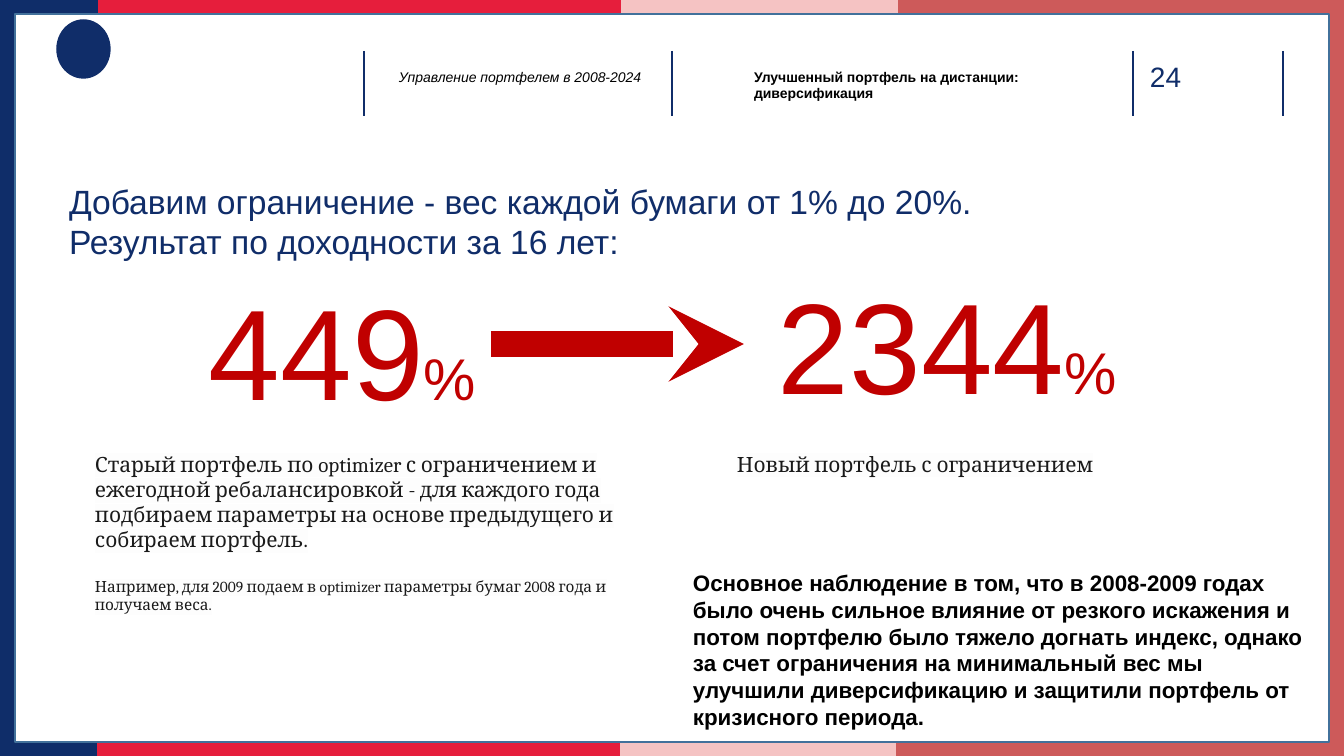
from lxml import etree
from pptx import Presentation
from pptx.dml.color import RGBColor
from pptx.enum.shapes import MSO_CONNECTOR, MSO_SHAPE
from pptx.enum.text import MSO_ANCHOR, PP_ALIGN
from pptx.oxml.ns import qn
from pptx.util import Pt

RECT, OVAL = MSO_SHAPE.RECTANGLE, MSO_SHAPE.OVAL
STRAIGHT = MSO_CONNECTOR.STRAIGHT
TOP, LEFT = MSO_ANCHOR.TOP, PP_ALIGN.LEFT

PX = 914400 / 100.8
WIDTH, HEIGHT = 1344, 756
NAVY, RED, INK, BLACK = "102D69", "C00000", "1A1A1A", "000000"
HIGHLIGHT = "FDFDFD"
FRAME_NAVY, FRAME_RED, FRAME_PINK, FRAME_ROSE = "0F2D69", "E61E3C", "F5C3C3", "CD5A5A"

# Coloured frame: side columns, then strips along the top and bottom edges
SIDE = 98
SIDES = [(0, FRAME_NAVY), (WIDTH - SIDE, FRAME_ROSE)]
STRIP_COLORS = [FRAME_RED, FRAME_PINK, FRAME_ROSE]
# Top, height, left edges of the strips
STRIPS = [(0, 87, [99, 622, 899]), (667, 89, [98, 621, 897])]
PANEL = (15, 14, 1314, 728)
EMBLEM = (57, 20, 53, 58)
DIVIDERS = [364, 672, 1133, 1283]
DIVIDER_TOP, DIVIDER_BOTTOM = 51, 116
ARROW = (491, 344, 744, 344)

TITLE_BOX = (59, 176, 1117, 92)
TITLE = [
    [("Добавим ограничение - вес каждой бумаги от 1% до 20%.", 24)],
    [("Результат по доходности за 16 лет:", 24)],
]

# Box, paragraphs of (text, size) runs, font options
TEXTS = [
    ((1140, 54, 74, 44), [[("24", 20)]], dict(color=NAVY)),
    ((389, 64, 268, 27), [[("Управление портфелем в 2008-2024", 10)]], dict(italic=True)),
    ((744, 63, 356, 44),
     [[("Улучшенный портфель на дистанции: диверсификация", 10)]], dict(bold=True)),
    ((199, 267, 372, 166), [[("449", 92), ("%", 42)]], dict(color=RED)),
    ((768, 261, 372, 166), [[("2344", 92), ("%", 42)]], dict(color=RED)),
    ((683, 564, 631, 173),
     [[("Основное наблюдение в том, что в 2008-2009 годах было очень сильное влияние "
        "от резкого искажения и потом портфелю было тяжело догнать индекс, однако "
        "за счет ограничения на минимальный вес мы улучшили диверсификацию и защитили "
        "портфель от кризисного периода.", 16)]], dict(bold=True)),
]

NOTE_TOP, NOTE_WIDTH, NOTE_HEIGHT = 441, 557, 154
NOTES = [
    (727, [[("Новый портфель с ограничением", 15)]]),
    (85, [
        [("Старый портфель по optimizer с ограничением и ежегодной ребалансировкой - "
          "для каждого года подбираем параметры на основе предыдущего и собираем "
          "портфель.", 15)],
        [("Например, для 2009 подаем в optimizer параметры бумаг 2008 года и получаем "
          "веса.", 11)],
    ]),
]


def px(*lengths):
    return [round(length * PX) for length in lengths]


def rgb(color):
    return RGBColor.from_string(color)


def add_block(slide, kind, box, fill, line):
    block = slide.shapes.add_shape(kind, *px(*box))
    block.shadow.inherit = False
    block.fill.solid()
    block.fill.fore_color.rgb = rgb(fill)
    block.line.color.rgb = rgb(line)
    block.line.width = Pt(1)


def add_line(slide, ends, color, width):
    connector = slide.shapes.add_connector(STRAIGHT, *px(*ends))
    connector.line.color.rgb = rgb(color)
    connector.line.width = Pt(width)
    etree.SubElement(connector._element.spPr, qn("a:effectLst"))
    return connector


def highlight(run):
    fill = run._r.get_or_add_rPr().find(qn("a:solidFill"))
    mark = etree.Element(qn("a:highlight"))
    etree.SubElement(mark, qn("a:srgbClr"), val=HIGHLIGHT)
    fill.addnext(mark)


def fill_text(shape, paragraphs, color=BLACK, font="Arial", bold=False, italic=False,
              inset=5, gap=0, marked=False):
    """Write runs into a shape; inset is the vertical margin in px, gap is in points."""
    frame = shape.text_frame
    frame.word_wrap = True
    frame.vertical_anchor = TOP
    frame.margin_left, frame.margin_right = px(10, 10)
    frame.margin_top, frame.margin_bottom = px(inset, inset)
    for index, runs in enumerate(paragraphs):
        paragraph = frame.add_paragraph() if index else frame.paragraphs[0]
        paragraph.alignment = LEFT
        paragraph.space_before = Pt(gap if index else 0)
        for text, size in runs:
            run = paragraph.add_run()
            run.text = text
            run.font.name, run.font.size = font, Pt(size)
            run.font.bold, run.font.italic = bold, italic
            run.font.color.rgb = rgb(color)
            if marked:
                highlight(run)


def add_frame(slide):
    for left, color in SIDES:
        add_block(slide, RECT, (left, 0, SIDE, HEIGHT), color, color)
    for top, height, lefts in STRIPS:
        for left, right, color in zip(lefts, lefts[1:] + [WIDTH], STRIP_COLORS):
            add_block(slide, RECT, (left, top, right - left, height), color, color)
    add_block(slide, RECT, PANEL, "FFFFFF", "42719B")


def main():
    deck = Presentation()
    deck.slide_width, deck.slide_height = px(WIDTH, HEIGHT)
    slide = deck.slides.add_slide(deck.slide_layouts[5])

    add_frame(slide)
    add_block(slide, OVAL, EMBLEM, NAVY, NAVY)

    for x in DIVIDERS:
        add_line(slide, (x, DIVIDER_TOP, x, DIVIDER_BOTTOM), NAVY, 1)
    arrow = add_line(slide, ARROW, RED, 18)
    etree.SubElement(arrow._element.spPr.find(qn("a:ln")), qn("a:tailEnd"), type="stealth")

    title = slide.shapes.title
    title.left, title.top, title.width, title.height = px(*TITLE_BOX)
    fill_text(title, TITLE, color=NAVY)
    slide.shapes._spTree.append(title._element)  # in front of the panel

    for box, paragraphs, options in TEXTS:
        fill_text(slide.shapes.add_textbox(*px(*box)), paragraphs, **options)
    for left, paragraphs in NOTES:
        note = slide.shapes.add_textbox(*px(left, NOTE_TOP, NOTE_WIDTH, NOTE_HEIGHT))
        fill_text(note, paragraphs, color=INK, font="Cambria", inset=10, gap=18, marked=True)

    deck.save("out.pptx")


if __name__ == "__main__":
    main()
